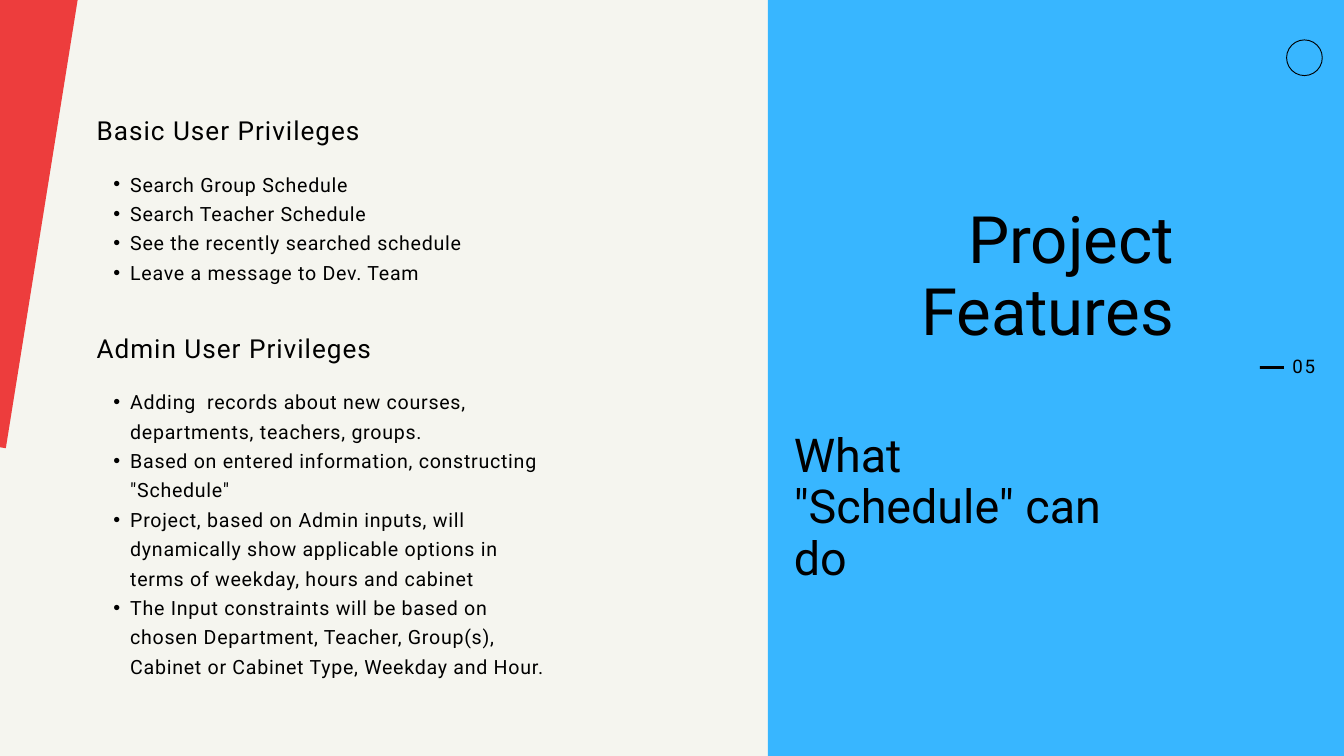
from lxml.etree import SubElement
from pptx import Presentation
from pptx.dml.color import RGBColor
from pptx.enum.shapes import MSO_SHAPE
from pptx.enum.text import MSO_ANCHOR, MSO_AUTO_SIZE, PP_ALIGN
from pptx.oxml.ns import qn
from pptx.util import Pt

PX = 9525  # EMU per px, on a slide of 1920 x 1080 px
CREAM = RGBColor(0xF5, 0xF5, 0xEF)
BLUE = RGBColor(0x38, 0xB6, 0xFF)
RED = RGBColor(0xED, 0x3D, 0x3D)
BLACK = RGBColor(0, 0, 0)

LEFT = 138
PANEL_TEXT_LEFT = 1134


def add_block(kind, x, y, width, height, fill=None):
    block = slide.shapes.add_shape(kind, x * PX, y * PX, width * PX, height * PX)
    block.shadow.inherit = False
    if fill is None:
        block.fill.background()
        block.line.color.rgb = BLACK
        block.line.width = Pt(1)
    else:
        block.fill.solid()
        block.fill.fore_color.rgb = fill
        block.line.fill.background()
    return block


def write(holder, lines, box, size, leading, tracking=0, align=PP_ALIGN.LEFT, bullets=False):
    """Place a text holder at box (px) and fill it with one paragraph per line."""
    holder.left, holder.top, holder.width, holder.height = (n * PX for n in box)
    frame = holder.text_frame
    frame.text = "\n".join(lines)
    frame.word_wrap = True
    frame.auto_size = MSO_AUTO_SIZE.NONE
    frame.vertical_anchor = MSO_ANCHOR.TOP
    frame.margin_left = frame.margin_top = frame.margin_right = frame.margin_bottom = 0
    for paragraph in frame.paragraphs:
        paragraph.alignment = align
        paragraph.line_spacing = Pt(leading)
        paragraph.space_before = paragraph.space_after = Pt(0)
        if bullets:
            properties = paragraph._p.get_or_add_pPr()
            properties.set("marL", str(48 * PX))
            properties.set("indent", str(-24 * PX))
            SubElement(properties, qn("a:buChar"), char="•")
        for run in paragraph.runs:
            run.font.name = "Roboto"
            run.font.size = Pt(size)
            run.font.bold = False
            run.font.color.rgb = BLACK
            run.font._element.set("spc", str(round(tracking * 100)))


presentation = Presentation()
presentation.slide_width = 1920 * PX
presentation.slide_height = 1080 * PX
comparison_layout = presentation.slide_layouts[4]
slide = presentation.slides.add_slide(comparison_layout)
slide.background.fill.solid()
slide.background.fill.fore_color.rgb = CREAM
title, basic_heading, basic_list, admin_heading, admin_list = slide.placeholders

# Blue panel, sent behind the title
panel = add_block(MSO_SHAPE.RECTANGLE, 1097, 0, 844, 1115, BLUE)
title.element.addprevious(panel.element)

add_block(MSO_SHAPE.OVAL, 1838, 57, 51, 51)
red_wedge = add_block(MSO_SHAPE.RECTANGLE, -84, -21, 145, 654, RED)
red_wedge.rotation = 9.1

# Page number with its dash
add_block(MSO_SHAPE.RECTANGLE, 1800, 523, 34, 4, BLACK)
page_number = slide.shapes.add_textbox(0, 0, 0, 0)
write(page_number, ["05"], (1831, 507, 48, 33), 20, 24, tracking=2, align=PP_ALIGN.RIGHT)

# Title and subtitle
write(title, ["Project Features"], (PANEL_TEXT_LEFT, 293, 543, 305), 70, 77,
      align=PP_ALIGN.RIGHT)
subtitle = slide.shapes.add_textbox(0, 0, 0, 0)
write(subtitle, ['What "Schedule" can do'], (PANEL_TEXT_LEFT, 615, 481, 145), 50, 55)

# Privileges of each kind of user
privileges = [
    (basic_heading, basic_list, 160, 163, "Basic User Privileges", [
        "Search Group Schedule",
        "Search Teacher Schedule",
        "See the recently searched schedule",
        "Leave a message to Dev. Team",
    ]),
    (admin_heading, admin_list, 471, 454, "Admin User Privileges", [
        "Adding  records about new courses, departments, teachers, groups.",
        'Based on entered information, constructing "Schedule"',
        "Project, based on Admin inputs, will dynamically show applicable options "
        "in terms of weekday, hours and cabinet",
        "The Input constraints will be based on chosen Department, Teacher, Group(s), "
        "Cabinet or Cabinet Type, Weekday and Hour.",
    ]),
]
for heading, items, top, list_height, user_kind, abilities in privileges:
    write(heading, [user_kind], (LEFT, top, 576, 46), 28, 36.4, tracking=1.1)
    write(items, abilities, (LEFT, top + 78, 640, list_height), 21, 31.5,
          tracking=0.8, bullets=True)

presentation.save("out.pptx")
